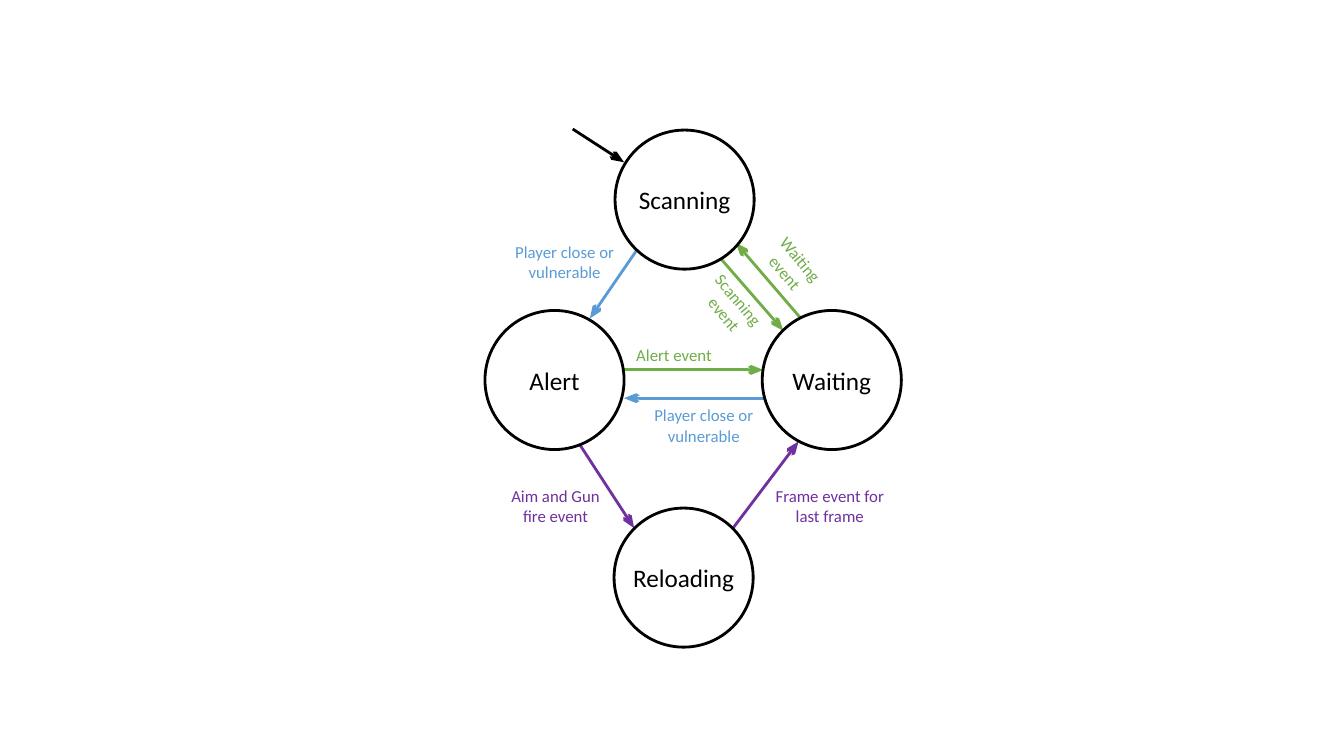
from dataclasses import dataclass

from lxml.etree import SubElement
from pptx import Presentation
from pptx.dml.color import RGBColor
from pptx.enum.shapes import MSO_CONNECTOR, MSO_SHAPE
from pptx.enum.text import MSO_ANCHOR, MSO_AUTO_SIZE, PP_ALIGN
from pptx.oxml.ns import qn
from pptx.slide import Slide
from pptx.text.text import TextFrame
from pptx.util import Inches, Pt

BLACK = RGBColor(0x00, 0x00, 0x00)
WHITE = RGBColor(0xFF, 0xFF, 0xFF)
GREEN = RGBColor(0x70, 0xAD, 0x47)
BLUE = RGBColor(0x5B, 0x9B, 0xD5)
PURPLE = RGBColor(0x70, 0x30, 0xA0)
FONT = "Calibri"
DIAMETER = 1.38
LINE_WIDTH = Pt(2)


@dataclass
class State:
    name: str
    left: float
    top: float


@dataclass
class Transition:
    start: tuple[float, float]
    end: tuple[float, float]
    color: RGBColor


@dataclass
class Label:
    lines: list[str]
    left: float
    top: float
    color: RGBColor
    width: float = 1.32
    height: float = 0.5
    rotation: float = 0


STATES = [
    State("Scanning", 6.1, 1.29),
    State("Alert", 4.81, 3.08),
    State("Waiting", 7.56, 3.08),
    State("Reloading", 6.09, 5.04),
]

TRANSITIONS = [
    Transition((5.68, 1.28), (6.19, 1.61), BLACK),
    Transition((6.31, 2.49), (5.85, 3.16), BLUE),
    Transition((8.23, 3.95), (6.19, 3.95), BLUE),
    Transition((7.97, 3.19), (7.3, 2.41), GREEN),
    Transition((7.1, 2.51), (7.77, 3.28), GREEN),
    Transition((6.19, 3.67), (7.57, 3.67), GREEN),
    Transition((5.73, 4.38), (6.29, 5.24), PURPLE),
    Transition((7.27, 5.24), (7.92, 4.38), PURPLE),
]

LABELS = [
    Label(["Player close or vulnerable"], 4.94, 2.35, BLUE),
    Label(["Player close or vulnerable"], 6.32, 3.97, BLUE),
    Label(["Frame event for last frame"], 7.57, 4.77, PURPLE),
    Label(["Aim and Gun fire event"], 4.85, 4.77, PURPLE),
    Label(["Alert event"], 6.21, 3.37, GREEN, 0.95, 0.3),
    Label(["Scanning", " event"], 6.77, 2.79, GREEN, 0.96, rotation=50.1),
    Label(["Waiting", "event"], 7.49, 2.39, GREEN, 0.75, rotation=50.2),
]


def write_lines(tf: TextFrame, lines: list[str], size: int, color: RGBColor) -> None:
    for i, line in enumerate(lines):
        p = tf.add_paragraph() if i else tf.paragraphs[0]
        p.alignment = PP_ALIGN.CENTER
        r = p.add_run()
        r.text = line
        r.font.name = FONT
        r.font.size = Pt(size)
        r.font.color.rgb = color


def draw_transition(s: Slide, transition: Transition) -> None:
    points = [Inches(v) for v in (*transition.start, *transition.end)]
    connector = s.shapes.add_connector(MSO_CONNECTOR.STRAIGHT, *points)
    connector.line.color.rgb = transition.color
    connector.line.width = LINE_WIDTH
    ln = connector.line._get_or_add_ln()
    SubElement(ln, qn("a:tailEnd"), type="arrow", w="med", len="lg")
    SubElement(connector._element.spPr, qn("a:effectLst"))


def draw_state(s: Slide, state: State) -> None:
    sp = s.shapes.add_shape(
        MSO_SHAPE.OVAL, Inches(state.left), Inches(state.top),
        Inches(DIAMETER), Inches(DIAMETER),
    )
    sp.shadow.inherit = False
    sp.fill.solid()
    sp.fill.fore_color.rgb = WHITE
    sp.line.color.rgb = BLACK
    sp.line.width = LINE_WIDTH
    tf = sp.text_frame
    tf.word_wrap = False
    tf.vertical_anchor = MSO_ANCHOR.MIDDLE
    write_lines(tf, [state.name], 18, BLACK)


def draw_label(s: Slide, label: Label) -> None:
    sp = s.shapes.add_textbox(
        Inches(label.left), Inches(label.top),
        Inches(label.width), Inches(label.height),
    )
    sp.rotation = label.rotation
    tf = sp.text_frame
    tf.word_wrap = True
    tf.auto_size = MSO_AUTO_SIZE.SHAPE_TO_FIT_TEXT
    write_lines(tf, label.lines, 12, label.color)


prs = Presentation()
prs.slide_width = Inches(13.33)
prs.slide_height = Inches(7.5)
s = prs.slides.add_slide(prs.slide_layouts[6])

for transition in TRANSITIONS:
    draw_transition(s, transition)
for state in STATES:
    draw_state(s, state)
for label in LABELS:
    draw_label(s, label)

prs.save("out.pptx")
